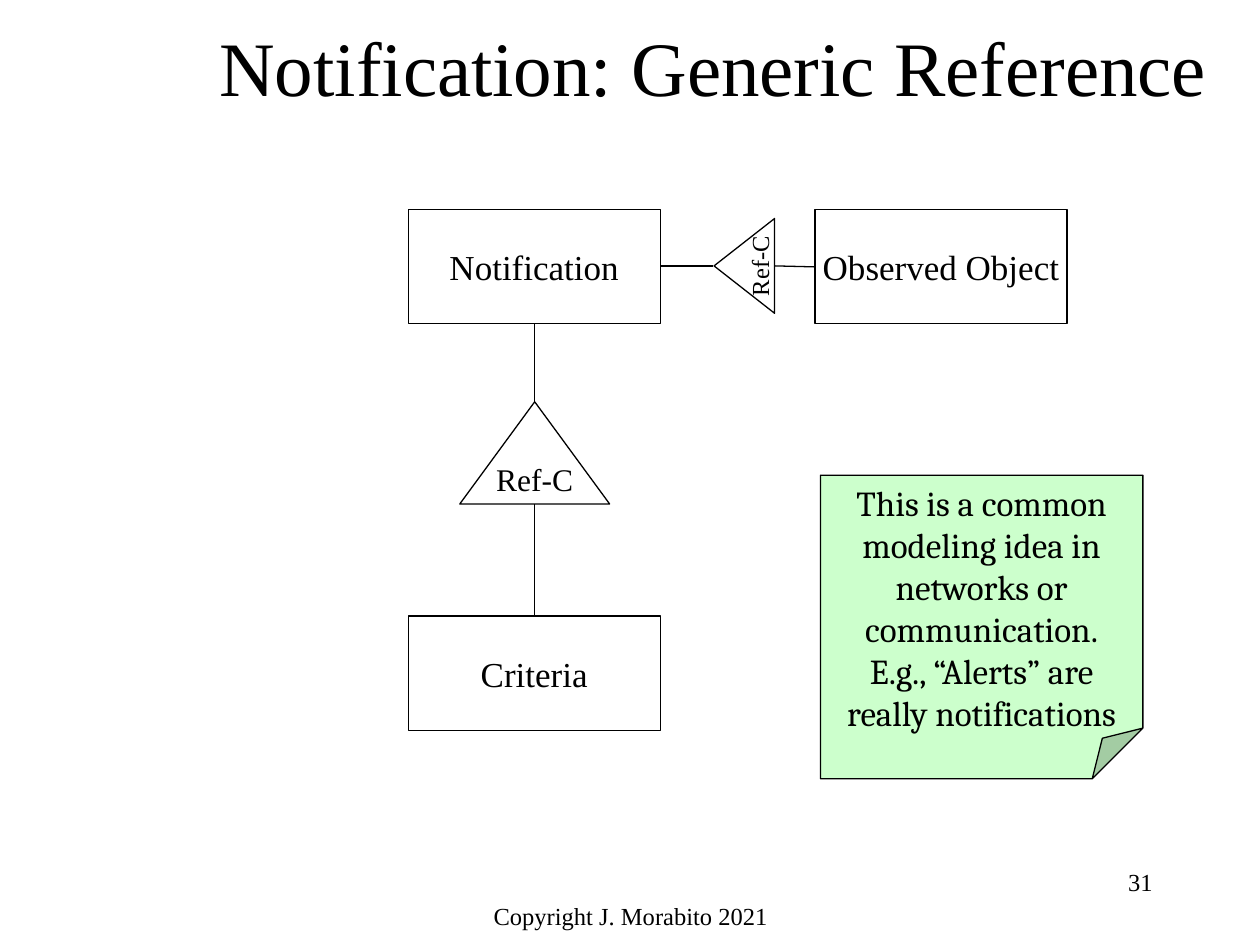
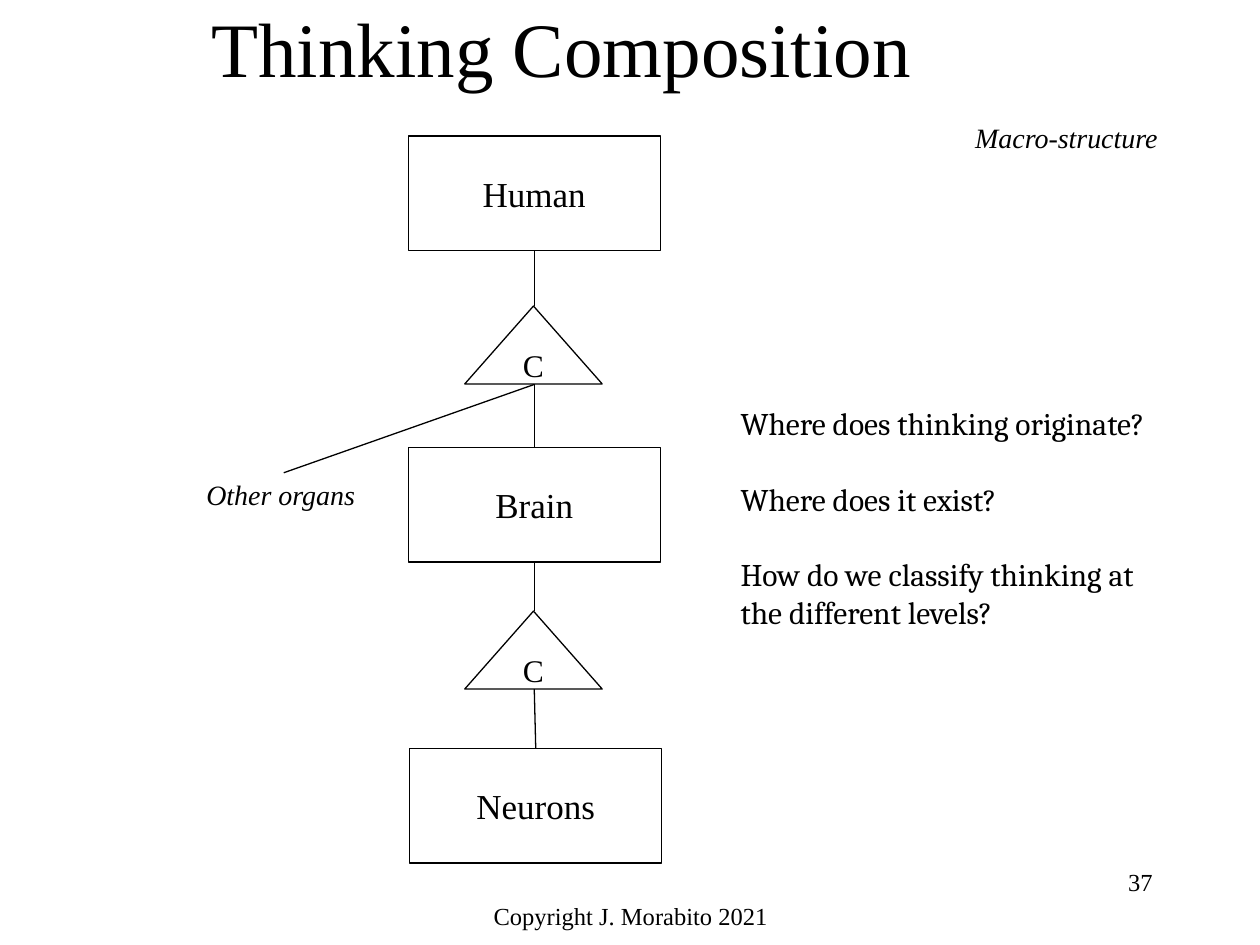
from lxml import etree
from pptx import Presentation
from pptx.dml.color import RGBColor
from pptx.enum.shapes import MSO_CONNECTOR, MSO_SHAPE
from pptx.enum.text import MSO_ANCHOR, MSO_AUTO_SIZE, PP_ALIGN
from pptx.oxml.ns import qn
from pptx.util import Cm, Pt

BLACK = RGBColor(0x00, 0x00, 0x00)
WHITE = RGBColor(0xFF, 0xFF, 0xFF)
NOTE_GREEN = RGBColor(0xCC, 0xFF, 0xCC)
SERIF = "Times New Roman"
NOTE_FONT = "Cambria"
LINE_WIDTH = Pt(0.75)

LEFT, CENTER, RIGHT = PP_ALIGN.LEFT, PP_ALIGN.CENTER, PP_ALIGN.RIGHT
TOP, MIDDLE = MSO_ANCHOR.TOP, MSO_ANCHOR.MIDDLE
NO_AUTOFIT = MSO_AUTO_SIZE.NONE
RECTANGLE = MSO_SHAPE.RECTANGLE
TRIANGLE = MSO_SHAPE.ISOSCELES_TRIANGLE
FOLDED_CORNER = MSO_SHAPE.FOLDED_CORNER
STRAIGHT = MSO_CONNECTOR.STRAIGHT

# Diagram measures in centimetres
COLUMN = 8.23
AXIS = 10.77
ENTITY_WIDTH, ENTITY_HEIGHT = 5.08, 2.31


def write_text(box, lines, size, align=LEFT, font=SERIF, italic=False,
               anchor=TOP, wrap=True, gap=0):
    """Fill a box with one paragraph per line, with gap points between them."""
    frame = box.text_frame
    frame.auto_size = NO_AUTOFIT
    frame.word_wrap = wrap
    frame.vertical_anchor = anchor
    for index, line in enumerate(lines):
        para = frame.add_paragraph() if index else frame.paragraphs[0]
        para.alignment = align
        if index and gap:
            para.space_before = Pt(gap)
        span = para.add_run()
        span.text = line
        span.font.name = font
        span.font.size = Pt(size)
        span.font.italic = italic
        span.font.color.rgb = BLACK


def add_outlined(page, kind, left, top, width, height, fill=None):
    shape = page.shapes.add_shape(kind, Cm(left), Cm(top), Cm(width), Cm(height))
    shape.shadow.inherit = False
    if fill is None:
        shape.fill.background()
    else:
        shape.fill.solid()
        shape.fill.fore_color.rgb = fill
    shape.line.color.rgb = BLACK
    shape.line.width = LINE_WIDTH
    return shape


# Entities: name, left, top
# Relations: label, left, top, width, height, text size, rotation, fill
# Links: start x, start y, end x, end y
SLIDES = [
    {
        "title": "Notification: Generic Reference",
        "title_area": (4.01, 0.38, 20.75, 1.88),
        "title_align": CENTER,
        "number": "31",
        "entities": [
            ("Notification", COLUMN, 4.22),
            ("Criteria", COLUMN, 12.42),
            ("Observed Object", 16.43, 4.22),
        ],
        "relations": [
            ("Ref-C", 9.27, 8.1, 3.02, 2.06, 18, 0, None),
            ("Ref-C", 14.05, 4.75, 1.91, 1.22, 14, 270, WHITE),
        ],
        "links": [
            (15.62, 5.36, 16.43, 5.38),
            (14.38, 5.36, 13.31, 5.36),
            (AXIS, 12.42, AXIS, 10.16),
            (AXIS, 8.1, AXIS, 6.53),
        ],
    },
    {
        "title": "Thinking Composition",
        "title_area": (4.01, 0.2, 21.39, 1.47),
        "title_align": LEFT,
        "number": "37",
        "entities": [
            ("Human", COLUMN, 2.74),
            ("Brain", COLUMN, 9.02),
            ("Neurons", 8.26, 15.09),
        ],
        "relations": [
            ("C", 9.37, 6.17, 2.77, 1.57, 18, 0, None),
            ("C", 9.37, 12.32, 2.77, 1.57, 18, 0, None),
        ],
        "links": [
            (AXIS, 6.17, AXIS, 5.05),
            (AXIS, 9.02, AXIS, 7.75),
            (AXIS, 12.32, AXIS, 11.33),
            (10.8, 15.09, AXIS, 13.89),
            (5.72, 9.53, AXIS, 7.75),
        ],
    },
]

deck = Presentation()
deck.slide_width = Cm(25.4)
deck.slide_height = Cm(19.05)
title_only = deck.slide_layouts[5]

pages = []
for content in SLIDES:
    page = deck.slides.add_slide(title_only)
    pages.append(page)

    title = page.shapes.title
    title.left, title.top, title.width, title.height = map(Cm, content["title_area"])
    write_text(title, [content["title"]], 44, content["title_align"], anchor=MIDDLE)

    footer = page.shapes.add_textbox(Cm(8.69), Cm(18.03), Cm(8.05), Cm(0.91))
    write_text(footer, ["Copyright J. Morabito 2021"], 14, CENTER)
    number = page.shapes.add_textbox(Cm(18.21), Cm(17.35), Cm(5.28), Cm(1.27))
    write_text(number, [content["number"]], 14, RIGHT)

    for name, left, top in content["entities"]:
        entity = add_outlined(page, RECTANGLE, left, top, ENTITY_WIDTH, ENTITY_HEIGHT)
        write_text(entity, [name], 20, CENTER, anchor=MIDDLE, wrap=False)

    for label, left, top, width, height, size, rotation, fill in content["relations"]:
        relation = add_outlined(page, TRIANGLE, left, top, width, height, fill)
        relation.rotation = rotation
        write_text(relation, [label], size, CENTER, anchor=MIDDLE, wrap=False)

    for ends in content["links"]:
        link = page.shapes.add_connector(STRAIGHT, *map(Cm, ends))
        link.line.color.rgb = BLACK
        link.line.width = LINE_WIDTH
        etree.SubElement(link._element.spPr, qn("a:effectLst"))

notification_page, thinking_page = pages

note = add_outlined(notification_page, FOLDED_CORNER, 16.54, 9.58, 6.5, 6.12, NOTE_GREEN)
write_text(note, [
    "This is a common modeling idea in networks or communication.",
    "E.g., “Alerts” are really notifications",
], 20, CENTER, NOTE_FONT)

questions = thinking_page.shapes.add_textbox(Cm(14.68), Cm(8.03), Cm(9.4), Cm(4.83))
write_text(questions, [
    "Where does thinking originate?",
    "Where does it exist?",
    "How do we classify thinking at the different levels?",
], 18, font=NOTE_FONT, gap=21.5)

for caption, left, top, width in [
    ("Macro-structure", 19.41, 2.31, 4.22),
    ("Other organs", 3.91, 9.5, 3.53),
]:
    box = thinking_page.shapes.add_textbox(Cm(left), Cm(top), Cm(width), Cm(0.94))
    write_text(box, [caption], 16, italic=True, wrap=False)

deck.save("out.pptx")
